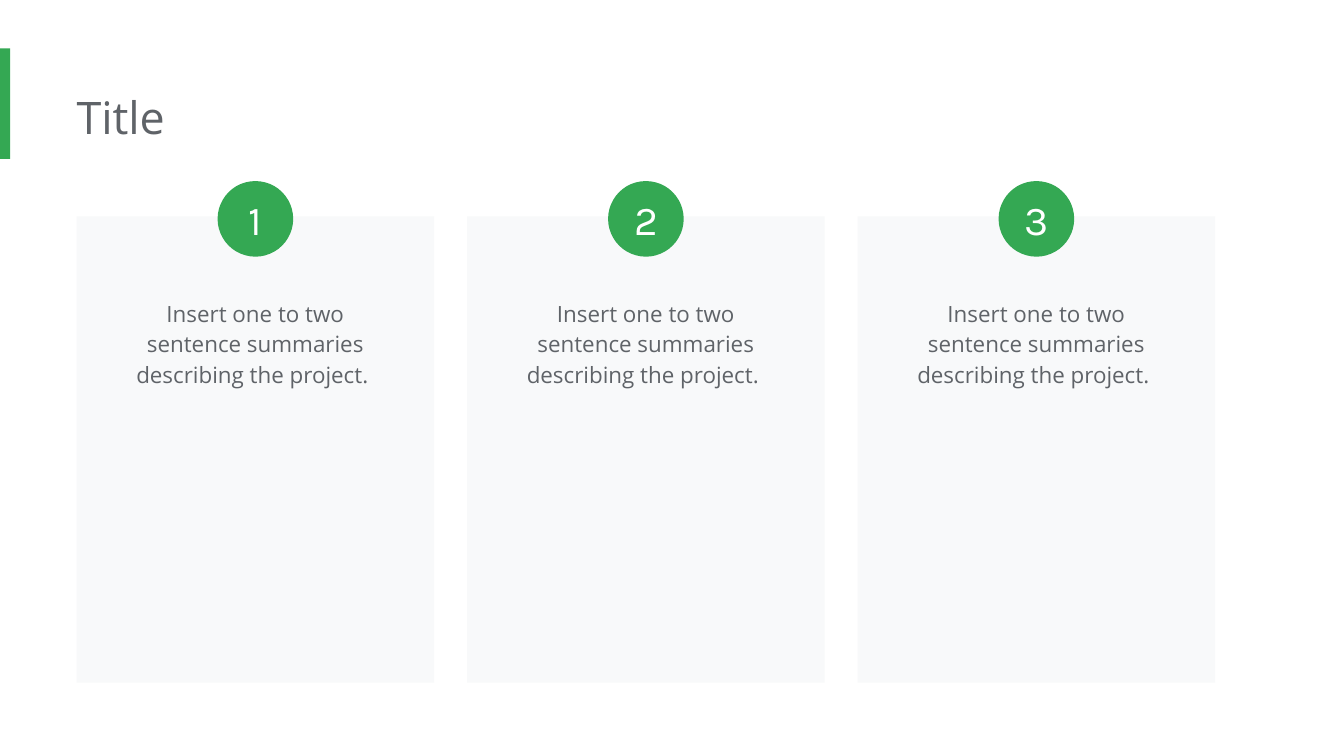
from dataclasses import dataclass

from pptx import Presentation
from pptx.dml.color import RGBColor
from pptx.enum.shapes import MSO_SHAPE
from pptx.enum.text import MSO_ANCHOR, MSO_AUTO_SIZE, PP_ALIGN
from pptx.util import Pt


@dataclass(frozen=True)
class Theme:
    green: str = "34A853"
    card: str = "F8F9FA"
    text: str = "5F6368"
    white: str = "FFFFFF"
    body_font: str = "Open Sans"
    number_font: str = "Karla"
    title_size: float = 24
    number_size: float = 22
    body_size: float = 12


THEME = Theme()
SUMMARIES = ["Insert one to two sentence summaries describing the project. "] * 3

CARD_LEFT, CARD_TOP = 41, 115.9
CARD_WIDTH, CARD_HEIGHT = 191.6, 249.9
CARD_PITCH = 209.2
BADGE_TOP, BADGE_SIZE = 97, 40.5
SUMMARY_TOP, SUMMARY_WIDTH, SUMMARY_HEIGHT = 151.2, 161.2, 65


def box(left, top, width, height):
    return Pt(left), Pt(top), Pt(width), Pt(height)


def set_text(sp, text, font, size, color, margins, anchor=MSO_ANCHOR.TOP,
             align=PP_ALIGN.LEFT, line_spacing=1.0):
    """Write one paragraph; margins are left, top, right, bottom."""
    tf = sp.text_frame
    sides = ("margin_left", "margin_top", "margin_right", "margin_bottom")
    frame_format = dict(zip(sides, map(Pt, margins)), word_wrap=True,
                        auto_size=MSO_AUTO_SIZE.NONE, vertical_anchor=anchor)
    p = tf.paragraphs[0]
    r = p.add_run()
    r.text = text
    formats = (
        (tf, frame_format),
        (p, {"alignment": align, "line_spacing": line_spacing}),
        (r.font, {"name": font, "size": Pt(size)}),
    )
    for target, values in formats:
        for name, value in values.items():
            setattr(target, name, value)
    r.font.color.rgb = RGBColor.from_string(color)


def add_filled(slide, kind, bounds, color):
    sp = slide.shapes.add_shape(kind, *box(*bounds))
    sp.shadow.inherit = False
    sp.fill.solid()
    sp.fill.fore_color.rgb = RGBColor.from_string(color)
    sp.line.fill.background()
    return sp


def set_title(slide, text):
    sp = slide.shapes.title
    sp.left, sp.top, sp.width, sp.height = box(CARD_LEFT, 41, 551.5, 44)
    set_text(sp, text, THEME.body_font, THEME.title_size, THEME.text,
             (0, 7.2, 7.2, 7.2))


def add_card(slide, left, summary):
    add_filled(slide, MSO_SHAPE.RECTANGLE,
               (left, CARD_TOP, CARD_WIDTH, CARD_HEIGHT), THEME.card)
    inset = (CARD_WIDTH - SUMMARY_WIDTH) / 2
    sp = slide.shapes.add_textbox(
        *box(left + inset, SUMMARY_TOP, SUMMARY_WIDTH, SUMMARY_HEIGHT))
    set_text(sp, summary, THEME.body_font, THEME.body_size, THEME.text,
             (7.2,) * 4, align=PP_ALIGN.CENTER, line_spacing=1.15)


def add_badge(slide, card_left, number):
    """Centre a numbered circle on the top edge of a card."""
    left = card_left + (CARD_WIDTH - BADGE_SIZE) / 2
    sp = add_filled(slide, MSO_SHAPE.OVAL,
                    (left, BADGE_TOP, BADGE_SIZE, BADGE_SIZE), THEME.green)
    set_text(sp, str(number), THEME.number_font, THEME.number_size,
             THEME.white, (0,) * 4, MSO_ANCHOR.MIDDLE, PP_ALIGN.CENTER)


def main():
    prs = Presentation()
    prs.slide_width, prs.slide_height = Pt(720), Pt(405)
    slide = prs.slides.add_slide(prs.slide_layouts[5])
    add_filled(slide, MSO_SHAPE.RECTANGLE, (0, 26, 5.5, 59.2), THEME.green)
    set_title(slide, "Title")
    for i, summary in enumerate(SUMMARIES):
        left = CARD_LEFT + i * CARD_PITCH
        add_card(slide, left, summary)
        add_badge(slide, left, i + 1)
    prs.save("out.pptx")


if __name__ == "__main__":
    main()
